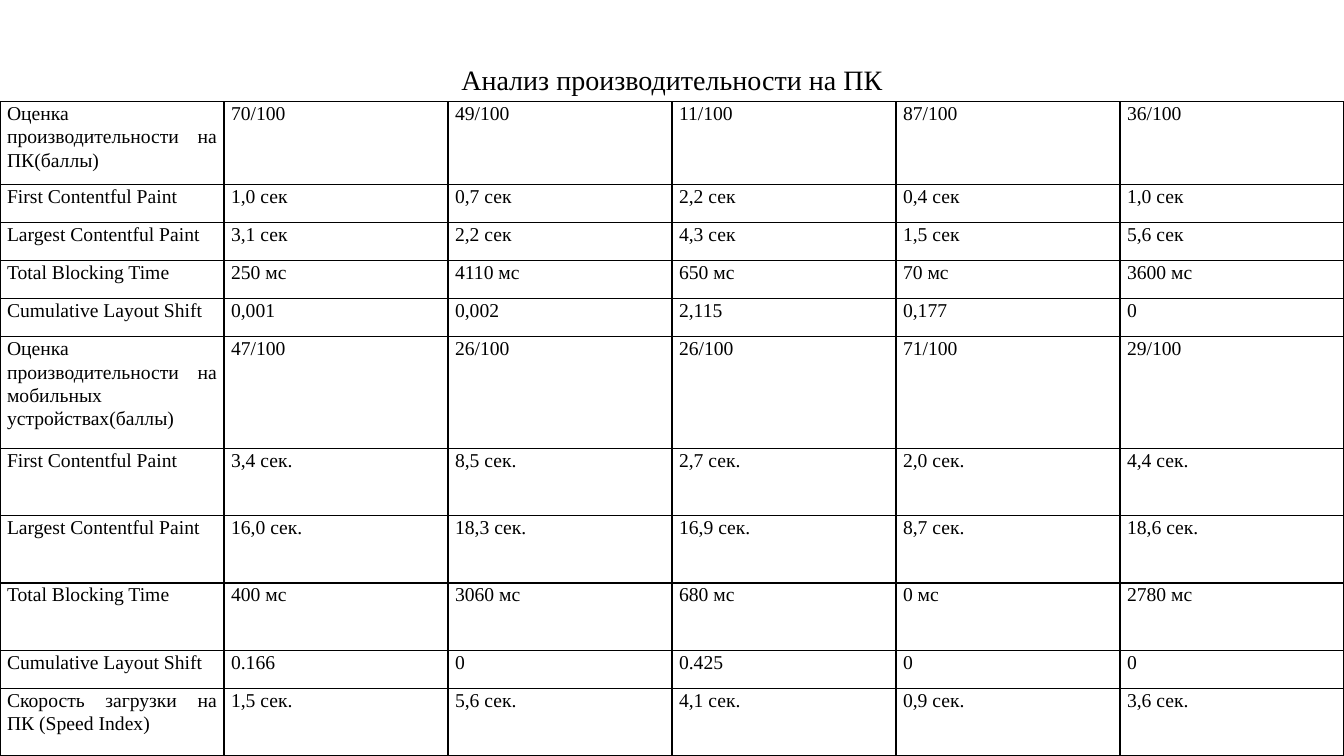
from dataclasses import dataclass

from lxml import etree
from pptx import Presentation
from pptx.dml.color import RGBColor
from pptx.enum.text import MSO_ANCHOR, PP_ALIGN
from pptx.oxml.ns import qn
from pptx.util import Inches, Pt

CENTER, JUSTIFY = PP_ALIGN.CENTER, PP_ALIGN.JUSTIFY
TOP = MSO_ANCHOR.TOP
SLIDE_W, SLIDE_H = 13.33, 7.5


@dataclass(frozen=True)
class Theme:
    font: str = "Times New Roman"
    ink: str = "000000"
    title_size: int = 20
    cell_size: int = 14
    border: float = 1
    cell_inset: float = 0.07
    line_spacing: float = 1.07
    space_after: int = 8


class SlideBuilder:
    """Draws on one slide; boxes are shares of the slide's width and height."""

    def __init__(self, prs, theme):
        self.theme = theme
        self.s = prs.slides.add_slide(prs.slide_layouts[6])

    def box(self, x, y, w, h):
        return (Inches(x * SLIDE_W), Inches(y * SLIDE_H),
                Inches(w * SLIDE_W), Inches(h * SLIDE_H))

    def add_run(self, p, text, size):
        r = p.add_run()
        r.text = text
        r.font.name = self.theme.font
        r.font.size = Pt(size)
        r.font.color.rgb = RGBColor.from_string(self.theme.ink)

    def title(self, text, x, y, w, h):
        tf = self.s.shapes.add_textbox(*self.box(x, y, w, h)).text_frame
        tf.word_wrap = True
        p = tf.paragraphs[0]
        p.alignment = CENTER
        self.add_run(p, text, self.theme.title_size)

    def table(self, rows, weights, x, y, w, h):
        left, top, width, height = self.box(x, y, w, h)
        tbl = self.s.shapes.add_table(
            len(rows), len(rows[0]), left, top, width, height).table
        tbl.first_row = tbl.horz_banding = False
        for row, weight in zip(tbl.rows, weights):
            row.height = int(height * weight / sum(weights))
        for i, values in enumerate(rows):
            for j, text in enumerate(values):
                self.cell(tbl.cell(i, j), text)

    def cell(self, cell, text):
        t = self.theme
        cell.margin_left = cell.margin_right = Inches(t.cell_inset)
        cell.margin_top = cell.margin_bottom = 0
        cell.vertical_anchor = TOP
        p = cell.text_frame.paragraphs[0]
        p.alignment = JUSTIFY
        p.line_spacing = t.line_spacing
        p.space_after = Pt(t.space_after)
        self.add_run(p, text, t.cell_size)
        # Borders come before the fill in the cell properties
        tc_pr = cell._tc.get_or_add_tcPr()
        for side in ("a:lnL", "a:lnR", "a:lnT", "a:lnB"):
            ln = etree.SubElement(tc_pr, qn(side), w=str(Pt(t.border)))
            fill = etree.SubElement(ln, qn("a:solidFill"))
            etree.SubElement(fill, qn("a:srgbClr"), val=t.ink)
        cell.fill.background()


# Metrics: label, then one value per site
METRICS = [
    ("Оценка производительности на ПК(баллы)",
     "70/100", "49/100", "11/100", "87/100", "36/100"),
    ("First Contentful Paint",
     "1,0 сек", "0,7 сек", "2,2 сек", "0,4 сек", "1,0 сек"),
    ("Largest Contentful Paint",
     "3,1 сек", "2,2 сек", "4,3 сек", "1,5 сек", "5,6 сек"),
    ("Total Blocking Time",
     "250 мс", "4110 мс", "650 мс", "70 мс", "3600 мс"),
    ("Cumulative Layout Shift", "0,001", "0,002", "2,115", "0,177", "0"),
    ("Оценка производительности на мобильных устройствах(баллы)",
     "47/100", "26/100", "26/100", "71/100", "29/100"),
    ("First Contentful Paint",
     "3,4 сек.", "8,5 сек.", "2,7 сек.", "2,0 сек.", "4,4 сек."),
    ("Largest Contentful Paint",
     "16,0 сек.", "18,3 сек.", "16,9 сек.", "8,7 сек.", "18,6 сек."),
    ("Total Blocking Time",
     "400 мс", "3060 мс", "680 мс", "0 мс", "2780 мс"),
    ("Cumulative Layout Shift", "0.166", "0", "0.425", "0", "0"),
    ("Скорость загрузки на ПК (Speed Index)",
     "1,5 сек.", "5,6 сек.", "4,1 сек.", "0,9 сек.", "3,6 сек."),
]
SHORT, TALL = 0.38, 0.67
ROW_WEIGHTS = [0.82] + [SHORT] * 4 + [1.11] + [TALL] * 3 + [SHORT, TALL]


def main():
    prs = Presentation()
    prs.slide_width, prs.slide_height = Inches(SLIDE_W), Inches(SLIDE_H)
    slide = SlideBuilder(prs, Theme())

    # Full-width table below the heading
    table_top = 1.01 / SLIDE_H
    slide.table(METRICS, ROW_WEIGHTS, 0, table_top, 1, 1 - table_top)

    # Centred heading
    title_w, title_h = 0.41, 0.44 / SLIDE_H
    slide.title("Анализ производительности на ПК",
                (1 - title_w) / 2, table_top - title_h, title_w, title_h)

    prs.save("out.pptx")


if __name__ == "__main__":
    main()
